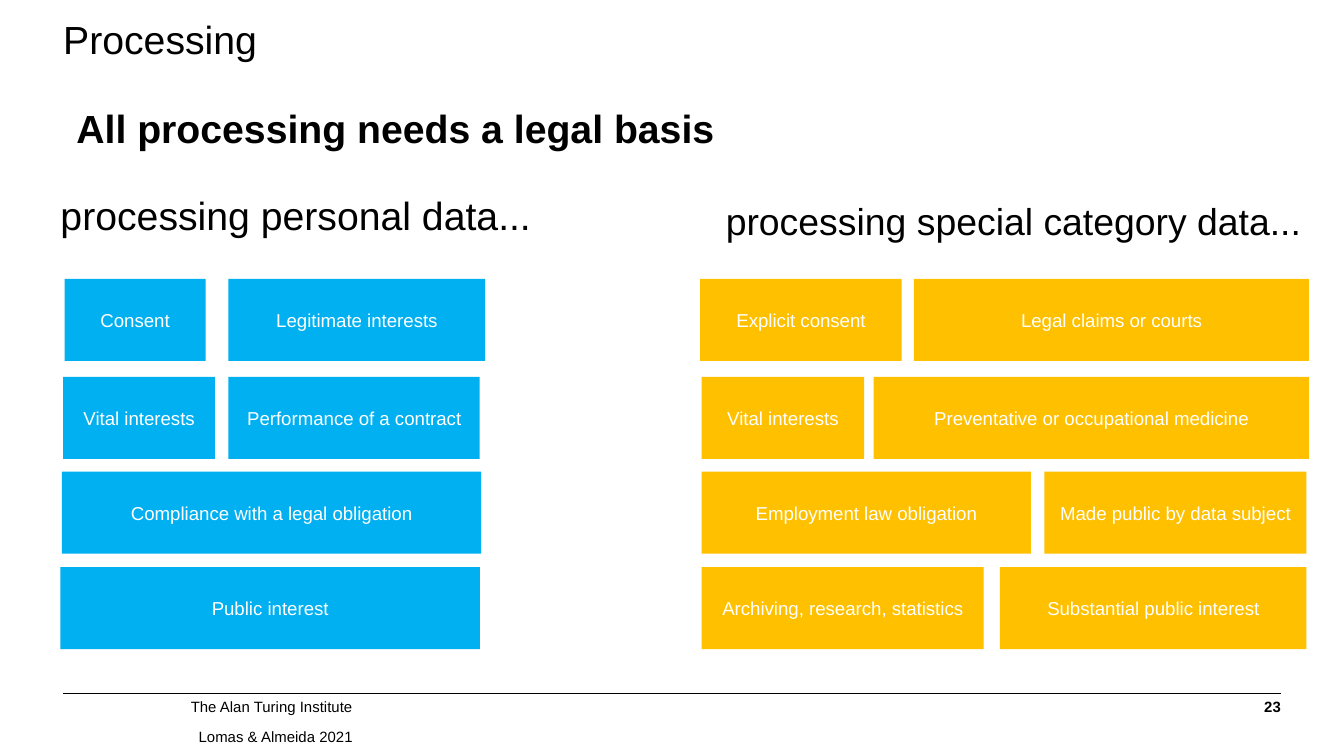
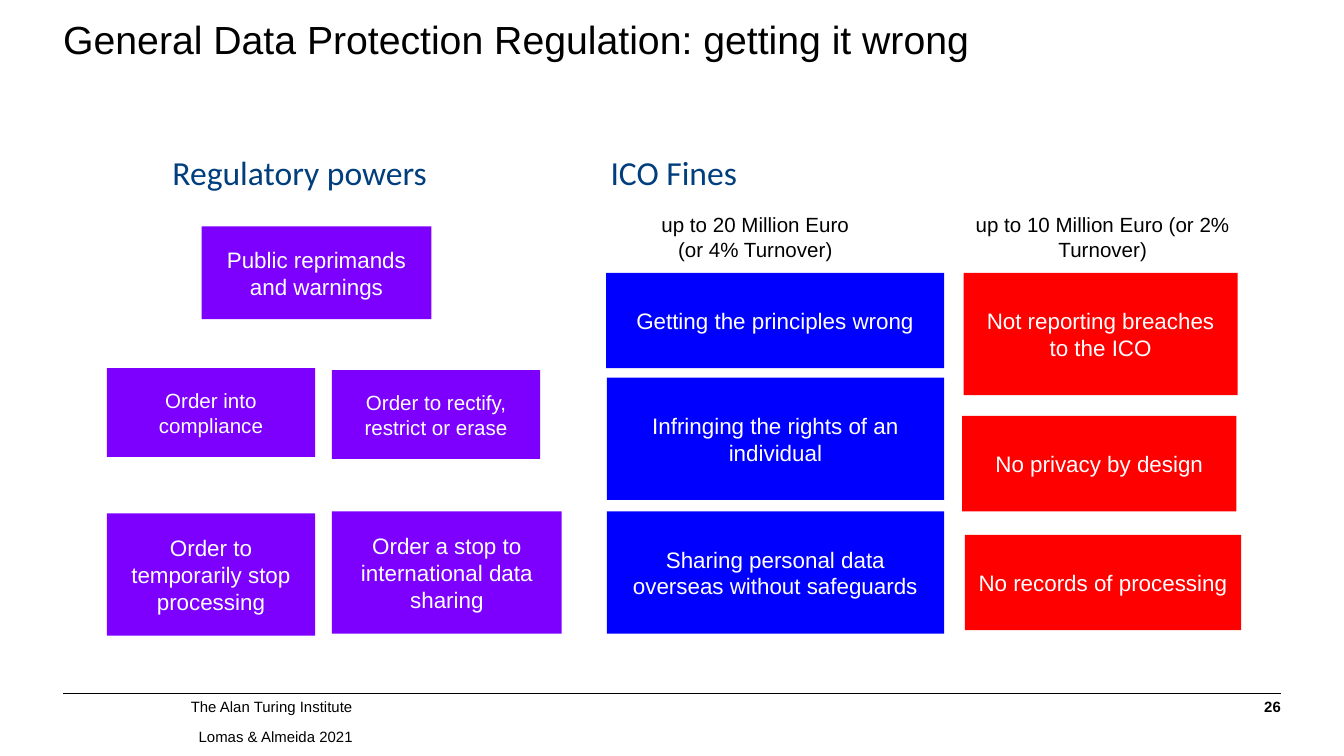
from lxml import etree
from pptx import Presentation
from pptx import util as u
from pptx.dml.color import RGBColor
from pptx.enum import shapes, text
from pptx.oxml import ns

BLACK = RGBColor(0x00, 0x00, 0x00)
WHITE = RGBColor(0xFF, 0xFF, 0xFF)
NAVY = RGBColor(0x00, 0x3E, 0x7E)
SKY = RGBColor(0x00, 0xB0, 0xF0)
AMBER = RGBColor(0xFF, 0xC0, 0x00)
PURPLE = RGBColor(0x7D, 0x00, 0xFF)
BLUE = RGBColor(0x00, 0x00, 0xFF)
RED = RGBColor(0xFF, 0x00, 0x00)

CELL = u.Inches(0.1)
COLUMNS, ROWS = 100, 56.25
MARGIN = 4.7
RULE_ROW = 51.6
FOOTER_ROW = 51.65
TITLE_ONLY = 5
INSET = (1, 0.5)
NO_INSET = (0, 0)
TIGHT = 0.85
CENTER = text.PP_ALIGN.CENTER
RIGHT = text.PP_ALIGN.RIGHT
TOP = text.MSO_ANCHOR.TOP
MIDDLE = text.MSO_ANCHOR.MIDDLE
BOTTOM = text.MSO_ANCHOR.BOTTOM

BASIS_ROWS = (20.75, 28.05, 35.1, 42.2)
BASIS_HEIGHT = 6.1
PERSONAL_BASES = (
    (("Consent", 4.8, 10.5), ("Legitimate interests", 17, 19.1)),
    (("Vital interests", 4.7, 11.3), ("Performance of a contract", 17, 18.7)),
    (("Compliance with a legal obligation", 4.6, 31.2),),
    (("Public interest", 4.5, 31.2),),
)
SPECIAL_BASES = (
    (("Explicit consent", 52.1, 15), ("Legal claims or courts", 68, 29.4)),
    (("Vital interests", 52.2, 12.1), ("Preventative or occupational medicine", 65, 32.4)),
    (("Employment law obligation", 52.2, 24.5), ("Made public by data subject", 77.7, 19.5)),
    (("Archiving, research, statistics", 52.2, 21), ("Substantial public interest", 74.4, 22.8)),
)
POWERS = (
    ("Public reprimands and warnings", (15, 16.85, 17.1, 6.9), 12),
    ("Order into compliance", (7.95, 27.4, 15.5, 6.6), 11),
    ("Order to rectify, restrict or erase", (24.7, 27.55, 15.5, 6.6), 11),
    ("Order to temporarily stop processing", (7.95, 38.2, 15.5, 9.1), 12),
    ("Order a stop to international data sharing", (24.7, 38.05, 17.1, 9.1), 12),
)
HIGHER_FINES = (
    ("Getting the principles wrong", (45.1, 20.3, 25.15, 7.1), 12),
    ("Infringing the rights of an individual", (45.15, 28.1, 25.1, 9.1), 12),
    ("Sharing personal data overseas without safeguards", (45.15, 38.05, 25.1, 9.1), 12),
)
LOWER_FINES = (
    ("Not reporting breaches to the ICO", (71.7, 20.3, 20.4, 9.1), 12),
    ("No privacy by design", (71.6, 30.95, 20.4, 7.1), 12),
    ("No records of processing", (71.8, 39.8, 20.55, 7.1), 12),
)


def cells(count):
    return u.Emu(round(count * CELL))


def write(shape, lines, size, color=BLACK, font="Arial", bold=False, align=text.PP_ALIGN.LEFT,
          anchor=TOP, inset=INSET, spacing=None):
    frame = shape.text_frame
    frame.word_wrap = True
    frame.auto_size = text.MSO_AUTO_SIZE.NONE
    frame.vertical_anchor = anchor
    frame.margin_left = frame.margin_right = cells(inset[0])
    frame.margin_top = frame.margin_bottom = cells(inset[1])
    frame.text = lines
    for paragraph in frame.paragraphs:
        paragraph.alignment = align
        paragraph.line_spacing = spacing
        paragraph.font.name = font
        paragraph.font.size = u.Pt(size)
        paragraph.font.bold = bold
        paragraph.font.color.rgb = color


def add_label(slide, lines, area, size, **style):
    shape = slide.shapes.add_textbox(*map(cells, area))
    write(shape, lines, size, **style)


def add_box(slide, label, area, size, fill):
    shape = slide.shapes.add_shape(shapes.MSO_SHAPE.RECTANGLE, *map(cells, area))
    shape.shadow.inherit = False
    shape.fill.solid()
    shape.fill.fore_color.rgb = fill
    shape.line.fill.background()
    write(shape, label, size, color=WHITE, align=CENTER, anchor=MIDDLE)


def add_boxes(slide, boxes, fill):
    for label, area, size in boxes:
        add_box(slide, label, area, size, fill)


def add_bases(slide, bases, fill):
    for top, row in zip(BASIS_ROWS, bases):
        for label, left, width in row:
            add_box(slide, label, (left, top, width, BASIS_HEIGHT), 10, fill)


def add_footer(slide, number):
    ends = (MARGIN, RULE_ROW, COLUMNS - MARGIN, RULE_ROW)
    rule = slide.shapes.add_connector(shapes.MSO_CONNECTOR.STRAIGHT, *map(cells, ends))
    rule.line.color.rgb = BLACK
    rule.line.width = u.Pt(0.5)
    etree.SubElement(rule.line._get_or_add_ln().getparent(), ns.qn("a:effectLst"))
    add_label(slide, "The Alan Turing Institute", (14.2, FOOTER_ROW, 39.4, 1.6), 8,
              anchor=BOTTOM, inset=NO_INSET)
    add_label(slide, number, (89.4, FOOTER_ROW, 5.9, 1.6), 8, bold=True,
              align=RIGHT, anchor=BOTTOM, inset=NO_INSET)
    add_label(slide, "Lomas & Almeida 2021", (13.8, 53.65, 15.7, 2.4), 8)


def add_slide(presentation, heading, heading_width, number):
    slide = presentation.slides.add_slide(presentation.slide_layouts[TITLE_ONLY])
    title = slide.shapes.title
    title.left, title.top, title.width, title.height = map(
        cells, (MARGIN, 1.7, heading_width, 9.9))
    write(title, heading, 21, inset=NO_INSET, spacing=TIGHT)
    add_footer(slide, number)
    return slide


def add_legal_basis_slide(presentation):
    slide = add_slide(presentation, "Processing", 63.4, "23")
    add_label(slide, "All processing needs a legal basis", (MARGIN, 7.8, 54.8, 1.4), 21,
              bold=True, spacing=TIGHT)
    add_label(slide, "processing personal data...", (4.5, 14.8, 48.1, 7.1), 21,
              inset=NO_INSET, spacing=TIGHT)
    add_label(slide, "processing special category data...", (54, 14.75, 48.1, 7.1), 20,
              inset=NO_INSET)
    add_bases(slide, PERSONAL_BASES, SKY)
    add_bases(slide, SPECIAL_BASES, AMBER)


def add_penalties_slide(presentation):
    slide = add_slide(presentation, "General Data Protection Regulation: getting it wrong",
                      78.4, "26")
    add_label(slide, "Regulatory powers", (11.85, 10.8, 23.5, 3.8), 18, color=NAVY, font="Calibri")
    add_label(slide, "ICO Fines", (44.45, 10.8, 18.4, 5.2), 18, color=NAVY, font="Calibri")
    add_label(slide, "up to 20 Million Euro\n(or 4% Turnover)", (44.45, 15.3, 23.5, 6.7), 11,
              align=CENTER)
    add_label(slide, "up to 10 Million Euro (or 2% Turnover)", (70.95, 15.3, 22.2, 6.7), 11,
              align=CENTER)
    add_boxes(slide, POWERS, PURPLE)
    add_boxes(slide, HIGHER_FINES, BLUE)
    add_boxes(slide, LOWER_FINES, RED)


def main():
    presentation = Presentation()
    presentation.slide_width = cells(COLUMNS)
    presentation.slide_height = cells(ROWS)
    add_legal_basis_slide(presentation)
    add_penalties_slide(presentation)
    presentation.save("out.pptx")


if __name__ == "__main__":
    main()
